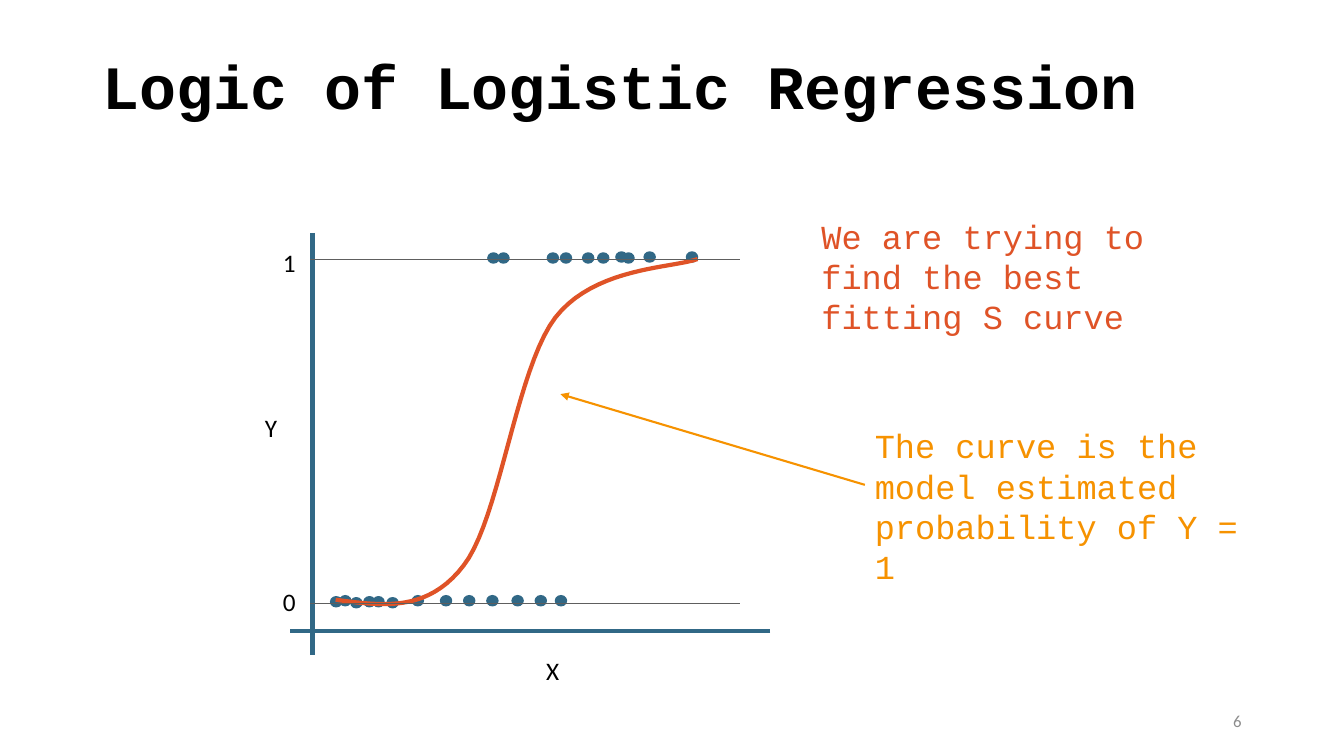
import lxml.etree
import pptx
import pptx.dml.color
import pptx.enum.shapes
import pptx.enum.text
import pptx.oxml.ns
import pptx.util

COLORS = {
    "black": "000000",
    "gray": "8C8C8C",
    "guide": "5E5E5E",
    "blue": "316886",
    "red": "DF5327",
    "orange": "F69200",
}
FONTS = {"code": "Courier New", "label": "Calibri"}
ALIGN = pptx.enum.text.PP_ALIGN
ANCHOR = pptx.enum.text.MSO_ANCHOR
COLUMNS, ROWS = 160, 90
ZERO_ROW, ONE_ROW = 71.88, 30.84
ZERO_DOTS = [
    (40.02, 71.64), (41.1, 71.52), (42.42, 71.76), (43.98, 71.64), (45.06, 71.64),
    (46.74, 71.76),
] + [(column, 71.52) for column in (49.74, 53.1, 55.86, 58.62, 61.62, 64.38, 66.78)]
ONE_DOTS = [
    (column, 30.72) for column in (58.74, 59.94, 65.82, 67.38, 70.02, 71.82, 74.82)
] + [(column, 30.6) for column in (73.98, 77.34, 82.38)]
S_CURVE = [
    (39.96, 71.4), (45.48, 72.12), (50.88, 72.96), (55.2, 67.32), (59.52, 61.8),
    (61.44, 43.92), (66.12, 37.8), (70.8, 31.8), (80.04, 31.92), (83.04, 30.84),
]


def bezier_points(controls, steps=20):
    """Return points along a chain of cubic curves that share their end points."""
    points = [controls[0]]
    for first in range(0, len(controls) - 1, 3):
        segment = controls[first:first + 4]
        for step in range(1, steps + 1):
            t = step / steps
            weights = ((1 - t) ** 3, 3 * t * (1 - t) ** 2, 3 * t * t * (1 - t), t ** 3)
            points.append(tuple(
                sum(weight * point[axis] for weight, point in zip(weights, segment))
                for axis in (0, 1)
            ))
    return points


class Page:
    """Draws styled elements on one slide, placed by columns and rows of a grid."""

    def __init__(self, deck):
        self.slide = deck.slides.add_slide(deck.slide_layouts[6])
        self.column = deck.slide_width / COLUMNS
        self.row = deck.slide_height / ROWS

    def place(self, *cells):
        """Turn alternating columns and rows into slide lengths."""
        return [
            round(cell * (self.row if index % 2 else self.column))
            for index, cell in enumerate(cells)
        ]

    def color(self, name):
        """Return the named colour."""
        return pptx.dml.color.RGBColor.from_string(COLORS[name])

    def outline(self, shape, color, width):
        """Set the line colour and width of a shape or connector."""
        shape.line.color.rgb = self.color(color)
        shape.line.width = pptx.util.Pt(width)

    def text(self, words, cells, size, font, color, bold=False, wrap=True,
             align=ALIGN.LEFT, anchor=ANCHOR.TOP, grow=True, spacing=None):
        """Add a text box with one paragraph."""
        box = self.slide.shapes.add_textbox(*self.place(*cells))
        frame = box.text_frame
        frame.word_wrap = wrap
        frame.vertical_anchor = anchor
        if grow:
            frame.auto_size = pptx.enum.text.MSO_AUTO_SIZE.SHAPE_TO_FIT_TEXT
        para = frame.paragraphs[0]
        para.text = words
        para.alignment = align
        if spacing:
            para.line_spacing = spacing
        para.font.name = FONTS[font]
        para.font.size = pptx.util.Pt(size)
        para.font.bold = bold
        para.font.color.rgb = self.color(color)

    def label(self, words, column, row):
        """Add a short axis label."""
        self.text(words, (column, row, 3.96, 4.8), 18, "label", "black", wrap=False)

    def line(self, cells, color, width, arrow=False):
        """Add a straight line, with an arrowhead at its end if asked."""
        connector = self.slide.shapes.add_connector(
            pptx.enum.shapes.MSO_CONNECTOR.STRAIGHT, *self.place(*cells))
        self.outline(connector, color, width)
        if arrow:
            lxml.etree.SubElement(
                connector.line._get_or_add_ln(), pptx.oxml.ns.qn("a:tailEnd"),
                type="triangle")
        lxml.etree.SubElement(
            connector._element.spPr, pptx.oxml.ns.qn("a:effectLst"))

    def dot(self, column, row, width=1.32, height=1.2):
        """Add a data point centred on a grid position."""
        shape = self.slide.shapes.add_shape(
            pptx.enum.shapes.MSO_SHAPE.OVAL,
            *self.place(column - width / 2, row - height / 2, width, height))
        shape.shadow.inherit = False
        shape.fill.solid()
        shape.fill.fore_color.rgb = self.color("blue")
        self.outline(shape, "blue", 1)

    def curve(self, controls, color, width):
        """Add an open smooth curve through cubic control points."""
        points = [self.place(*point) for point in bezier_points(controls)]
        builder = self.slide.shapes.build_freeform(*points[0])
        builder.add_line_segments(points[1:], close=False)
        shape = builder.convert_to_shape()
        shape.shadow.inherit = False
        shape.fill.background()
        self.outline(shape, color, width)


def main():
    """Build the slide and save it."""
    deck = pptx.Presentation()
    deck.slide_width = pptx.util.Inches(13.33)
    deck.slide_height = pptx.util.Inches(7.5)
    page = Page(deck)

    page.text("Logic of Logistic Regression", (11, 5.2, 138, 11), 44, "code", "black",
              bold=True, anchor=ANCHOR.MIDDLE, grow=False, spacing=0.9)
    page.text("6", (113, 83.4, 36, 4.8), 12, "label", "gray",
              align=ALIGN.RIGHT, anchor=ANCHOR.MIDDLE, grow=False)

    page.line((37.2, 27.72, 37.2, 78), "blue", 3)
    page.line((91.68, 75.12, 34.56, 75.12), "blue", 3)
    for column, row in ZERO_DOTS + ONE_DOTS:
        page.dot(column, row)
    page.label("Y", 30.36, 48.48)
    page.label("X", 63.84, 77.4)
    page.text("We are trying to find the best fitting S curve",
              (96.6, 25.08, 48.12, 15.72), 24, "code", "red")
    page.curve(S_CURVE, "red", 3)

    for words, guide_row, label_row in (("0", ZERO_ROW, 69.24), ("1", ONE_ROW, 28.8)):
        page.line((36.96, guide_row, 88.08, guide_row), "guide", 0.5)
        page.label(words, 32.5, label_row)
    page.line((102.96, 57.72, 66.72, 46.92), "orange", 1.5, arrow=True)
    page.text("The curve is the model estimated probability of Y = 1",
              (102.96, 50.04, 48.12, 15.72), 24, "code", "orange")
    deck.save("out.pptx")


if __name__ == "__main__":
    main()
